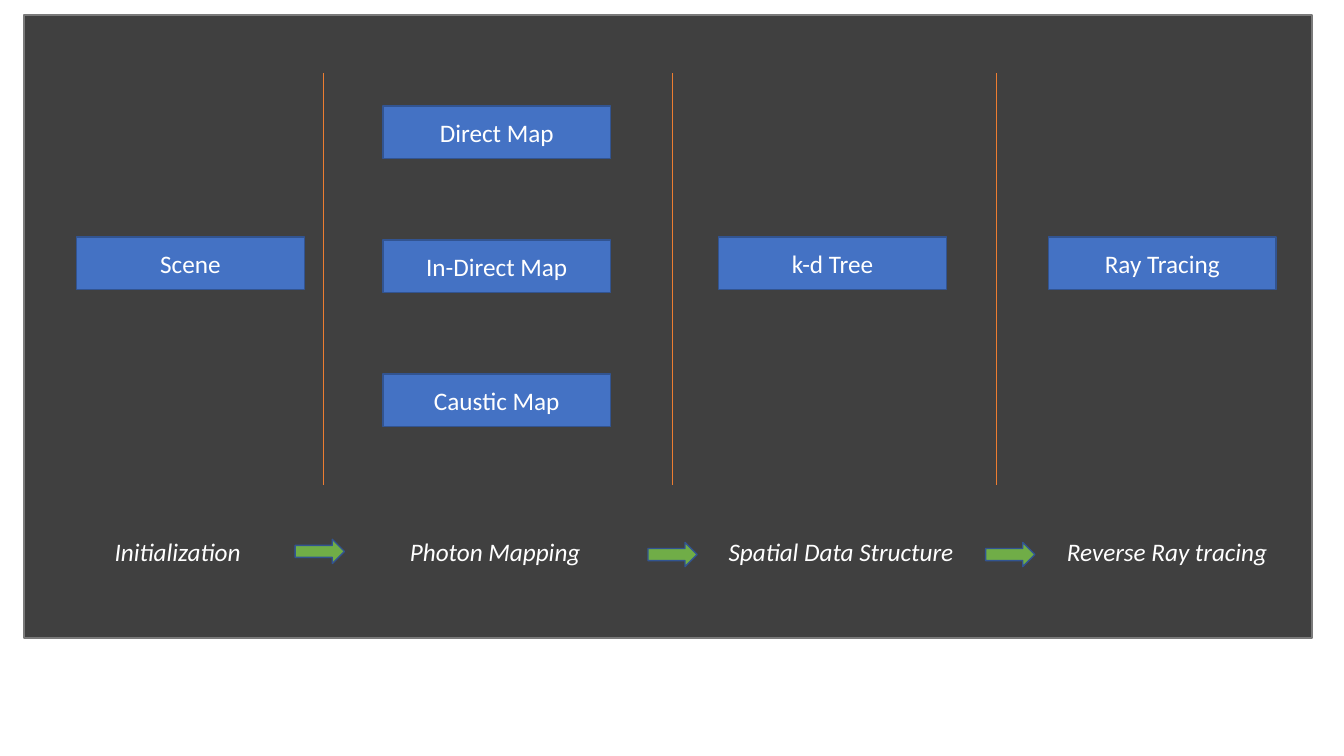
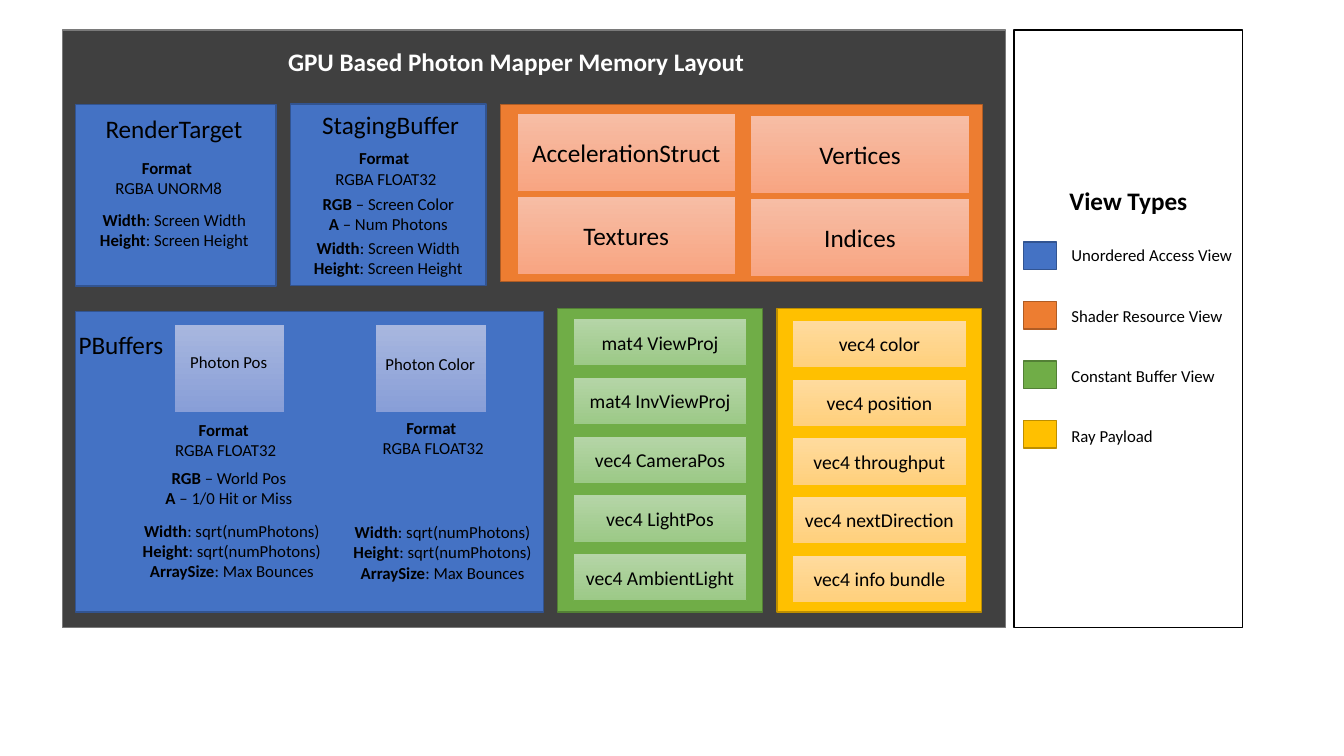
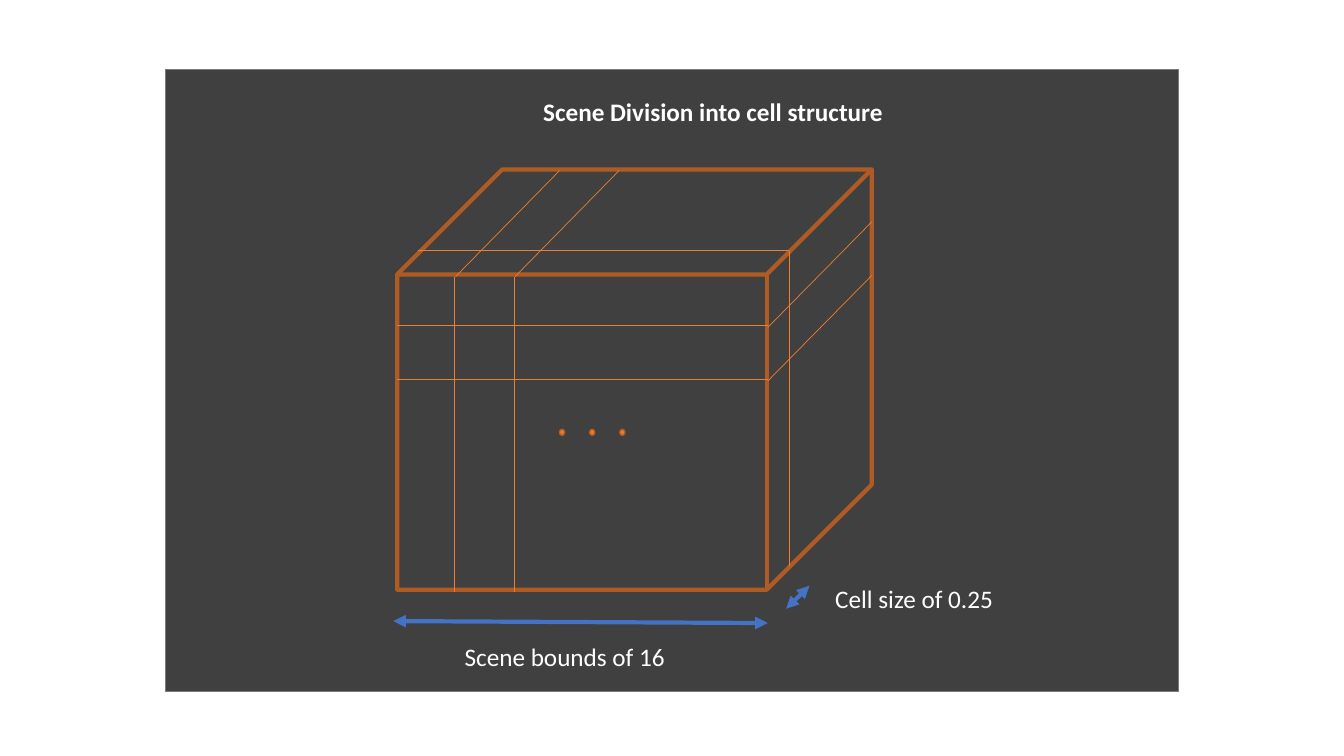
from dataclasses import dataclass

from lxml import etree
from pptx import Presentation
from pptx import util as u
from pptx.dml import color
from pptx.enum import shapes, text
from pptx.oxml import ns
from pptx.slide import Slide


@dataclass(frozen=True)
class Theme:
    font: str = "Calibri"
    white: str = "FFFFFF"
    black: str = "000000"
    panel: str = "404040"
    panel_edge: str = "7A7A7A"
    blue: str = "4472C4"
    blue_edge: str = "325491"
    orange: str = "ED7D31"
    orange_edge: str = "AF5C24"
    green: str = "70AD47"
    green_edge: str = "538035"
    yellow: str = "FFC000"
    yellow_edge: str = "BD8E00"
    blue_tint: tuple[str, str] = ("A8B7DF", "889ED7")
    orange_tint: tuple[str, str] = ("F7BDA5", "F8A582")
    green_tint: tuple[str, str] = ("B5D5A7", "9CC987")
    yellow_tint: tuple[str, str] = ("FFDB9E", "FFD07C")
    heading: int = 18
    member: int = 14
    detail: int = 12
    hairline: float = 0.5
    edge: float = 1
    heavy: float = 3


THEME = Theme()


@dataclass(frozen=True)
class Box:
    x: float
    y: float
    w: float
    h: float

    def lengths(self) -> tuple[u.Length, ...]:
        return u.Cm(self.x), u.Cm(self.y), u.Cm(self.w), u.Cm(self.h)


@dataclass(frozen=True)
class Run:
    words: str
    bold: bool = False
    italic: bool = False
    breaks: bool = False


@dataclass(frozen=True)
class Style:
    fill: str | tuple[str, str] | None
    line: str
    width: float = THEME.edge


Paragraphs = list[list[Run]]

PANEL = Style(THEME.panel, THEME.panel_edge)
BLUE = Style(THEME.blue, THEME.blue_edge)
ORANGE = Style(THEME.orange, THEME.orange_edge)
GREEN = Style(THEME.green, THEME.green_edge)
YELLOW = Style(THEME.yellow, THEME.yellow_edge)
BLUE_TILE = Style(THEME.blue_tint, THEME.blue, THEME.hairline)
ORANGE_TILE = Style(THEME.orange_tint, THEME.orange, THEME.hairline)
GREEN_TILE = Style(THEME.green_tint, THEME.green, THEME.hairline)
YELLOW_TILE = Style(THEME.yellow_tint, THEME.yellow, THEME.hairline)

RECT = shapes.MSO_SHAPE.RECTANGLE


def rgb(value: str) -> color.RGBColor:
    return color.RGBColor.from_string(value)


def write(frame, paragraphs: Paragraphs, size: int, ink: str, centred: bool) -> None:
    for index, runs in enumerate(paragraphs):
        paragraph = frame.paragraphs[0] if index == 0 else frame.add_paragraph()
        paragraph.alignment = text.PP_ALIGN.CENTER if centred else text.PP_ALIGN.LEFT
        for part in runs:
            run = paragraph.add_run()
            run.text = part.words
            run.font.name = THEME.font
            run.font.size = u.Pt(size)
            run.font.bold = part.bold
            run.font.italic = part.italic
            run.font.color.rgb = rgb(ink)
            if part.breaks:
                paragraph.add_line_break()


def block(slide: Slide, box: Box, style: Style, words: str = "", size: int = THEME.heading,
          ink: str = THEME.black, kind: shapes.MSO_SHAPE = RECT) -> None:
    shape = slide.shapes.add_shape(kind, *box.lengths())
    shape.shadow.inherit = False
    if style.fill is None:
        shape.fill.background()
    elif isinstance(style.fill, tuple):
        shape.fill.gradient()
        shape.fill.gradient_angle = 270
        for stop, tint in zip(shape.fill.gradient_stops, style.fill):
            stop.color.rgb = rgb(tint)
    else:
        shape.fill.solid()
        shape.fill.fore_color.rgb = rgb(style.fill)
    shape.line.color.rgb = rgb(style.line)
    shape.line.width = u.Pt(style.width)
    if words:
        shape.text_frame.vertical_anchor = text.MSO_ANCHOR.MIDDLE
        write(shape.text_frame, [[Run(words)]], size, ink, True)


def label(slide: Slide, box: Box, paragraphs: Paragraphs, size: int = THEME.heading,
          ink: str = THEME.black, centred: bool = False) -> None:
    frame = slide.shapes.add_textbox(*box.lengths()).text_frame
    frame.word_wrap = False
    frame.auto_size = text.MSO_AUTO_SIZE.SHAPE_TO_FIT_TEXT
    write(frame, paragraphs, size, ink, centred)


def detail(slide: Slide, x: float, y: float, w: float, paragraphs: Paragraphs) -> None:
    lines = max(len(paragraphs), 1 + paragraphs[0][0].breaks)
    label(slide, Box(x, y, w, 0.25 + 0.51 * lines), paragraphs, THEME.detail, centred=True)


def line(slide: Slide, x1: float, y1: float, x2: float, y2: float,
         ink: str = THEME.orange, width: float = THEME.hairline, arrows: bool = False) -> None:
    connector = slide.shapes.add_connector(
        shapes.MSO_CONNECTOR.STRAIGHT, u.Cm(x1), u.Cm(y1), u.Cm(x2), u.Cm(y2))
    connector.line.color.rgb = rgb(ink)
    connector.line.width = u.Pt(width)
    if arrows:
        outline = connector.line._get_or_add_ln()
        for end in ("a:headEnd", "a:tailEnd"):
            etree.SubElement(outline, ns.qn(end), type="triangle")
    etree.SubElement(connector._element.spPr, ns.qn("a:effectLst"))


def field(name: str, rest: str) -> list[Run]:
    return [Run(name, bold=True), Run(rest)]


def pixel_format(name: str) -> Paragraphs:
    return [[Run("Format", bold=True, breaks=True), Run(f" {name}")]]


def draw_pipeline(slide: Slide) -> None:
    block(slide, Box(0.61, 0.38, 32.46, 15.7), PANEL)
    photon_maps = ("Direct Map", "In-Direct Map", "Caustic Map")
    steps = [(9.65, 2.67 + 3.38 * row, name) for row, name in enumerate(photon_maps)]
    steps += [(18.11, 5.97, "k-d Tree"), (26.42, 5.97, "Ray Tracing"), (1.93, 5.97, "Scene")]
    for x, y, name in steps:
        block(slide, Box(x, y, 5.74, 1.32), BLUE, name, ink=THEME.white)
    for x in (8.16, 16.94, 25.12):
        line(slide, x, 1.85, x, 12.22)
    for x, w, stage in ((2.64, 3.71, "Initialization"), (10.08, 4.88, "Photon Mapping"),
                        (18.11, 6.2, "Spatial Data Structure"),
                        (26.64, 5.56, "Reverse Ray tracing")):
        label(slide, Box(x, 13.39, w, 1.02), [[Run(stage, italic=True)]], ink=THEME.white)
    for x, y in ((7.44, 13.59), (16.33, 13.67), (24.84, 13.67)):
        block(slide, Box(x, y, 1.24, 0.61), Style(THEME.green, THEME.blue_edge),
              kind=shapes.MSO_SHAPE.RIGHT_ARROW)


def draw_view_types(slide: Slide) -> None:
    block(slide, Box(25.55, 0.76, 5.77, 15.06), Style(THEME.white, THEME.black))
    label(slide, Box(26.7, 4.55, 3.51, 1.02), [[Run("View Types", bold=True)]])
    views = ((BLUE, 4.62, "Unordered Access View"), (ORANGE, 4.37, "Shader Resource View"),
             (GREEN, 4.17, "Constant Buffer View"), (YELLOW, 2.59, "Ray Payload"))
    for row, (style, w, name) in enumerate(views):
        block(slide, Box(25.79, 6.1 + 1.5 * row, 0.84, 0.69), style)
        label(slide, Box(26.75, 6.05 + 1.52 * row, w, 0.76), [[Run(name)]], THEME.detail)


def draw_members(slide: Slide, x: float, top: float, style: Style, tile: Style,
                 members: tuple[str, ...]) -> None:
    block(slide, Box(x, 7.77, 5.16, 7.65), style)
    for row, member in enumerate(members):
        block(slide, Box(x + 0.4, top + 1.48 * row, 4.37, 1.19), tile, member, THEME.member)


def draw_memory_layout(slide: Slide) -> None:
    block(slide, Box(1.57, 0.76, 23.77, 15.06), PANEL)
    label(slide, Box(7.01, 1.04, 12.04, 1.02),
          [[Run("GPU Based Photon Mapper Memory Layout", bold=True)]], ink=THEME.white)
    screen_size = [field("Width", ": Screen Width"), field("Height", ": Screen Height")]
    photon_size = [field("Width", ": sqrt(numPhotons)"), field("Height", ": sqrt(numPhotons)"),
                   field("ArraySize", ": Max Bounces")]

    for buffer, style in ((Box(1.91, 2.64, 5.05, 4.57), BLUE),
                          (Box(7.32, 2.62, 4.93, 4.57), BLUE),
                          (Box(1.91, 7.85, 11.79, 7.57), BLUE),
                          (Box(12.62, 2.64, 12.14, 4.45), ORANGE)):
        block(slide, buffer, style)
    for x, y, w, name in ((2.41, 2.72, 4.01, "RenderTarget"),
                          (7.87, 2.62, 4.01, "StagingBuffer"),
                          (1.73, 8.18, 2.67, "PBuffers")):
        label(slide, Box(x, y, w, 1.02), [[Run(name)]])
    for x in (4.39, 9.47):
        block(slide, Box(x, 8.18, 2.79, 2.21), BLUE_TILE)

    for x, y, w, paragraphs in (
        (2.54, 3.84, 3.33, pixel_format("RGBA UNORM8")),
        (2.26, 5.16, 4.27, screen_size),
        (8.08, 3.61, 3.2, pixel_format("RGBA FLOAT32")),
        (7.87, 4.75, 3.84, [field("RGB", " – Screen Color"), field("A", " – Num Photons")]),
        (7.65, 5.87, 4.27, screen_size),
        (4.52, 8.74, 2.49, [[Run("Photon Pos")]]),
        (9.45, 8.79, 2.79, [[Run("Photon Color")]]),
        (4.04, 10.44, 3.2, pixel_format("RGBA FLOAT32")),
        (9.27, 10.39, 3.2, pixel_format("RGBA FLOAT32")),
        (3.89, 11.66, 3.76, [field("RGB", " – World Pos"), field("A", " – 1/0 Hit or Miss")]),
        (3.33, 13.0, 5.03, photon_size),
        (8.64, 13.03, 5.03, photon_size),
    ):
        detail(slide, x, y, w, paragraphs)

    resources = (("AccelerationStruct", "Textures"), ("Vertices", "Indices"))
    for column, names in enumerate(resources):
        for row, name in enumerate(names):
            block(slide, Box(13.03 + 5.89 * column, 2.87 + 2.08 * row + 0.05 * column,
                             5.51, 1.96), ORANGE_TILE, name)
    draw_members(slide, 14.05, 8.03, GREEN, GREEN_TILE,
                 ("mat4 ViewProj", "mat4 InvViewProj", "vec4 CameraPos", "vec4 LightPos",
                  "vec4 AmbientLight"))
    draw_members(slide, 19.58, 8.07, YELLOW, YELLOW_TILE,
                 ("vec4 color", "vec4 position", "vec4 throughput", "vec4 nextDirection",
                  "vec4 info bundle"))
    draw_view_types(slide)


def draw_scene_division(slide: Slide) -> None:
    block(slide, Box(4.17, 1.75, 25.53, 15.67), PANEL)
    block(slide, Box(10.01, 4.27, 11.96, 10.59), Style(None, THEME.orange_edge, THEME.heavy),
          kind=shapes.MSO_SHAPE.CUBE)
    for cell in range(2):
        y = 8.2 + 1.35 * cell
        line(slide, 10.01, y, 19.35, y)
        line(slide, 19.35, y + 0.05, 21.97, y - 2.61)
        x = 11.46 + 1.5 * cell
        line(slide, x, 6.98, x, 14.91)
        line(slide, x + 0.02, 6.97, x + 2.64, 4.3)
    line(slide, 19.89, 6.32, 19.89, 14.25)
    line(slide, 10.54, 6.32, 19.89, 6.32)
    for dot in range(3):
        block(slide, Box(14.1 + 0.76 * dot, 10.82, 0.13, 0.15), ORANGE,
              kind=shapes.MSO_SHAPE.OVAL)
    for ends in ((9.91, 15.65, 19.35, 15.7), (19.81, 15.34, 20.4, 14.76)):
        line(slide, *ends, ink=THEME.blue, width=THEME.heavy, arrows=True)
    for x, y, w, caption in (
        (13.44, 2.31, 9.14, Run("Scene Division into cell structure", bold=True)),
        (11.46, 16.03, 5.61, Run("Scene bounds of 16")),
        (20.8, 14.58, 4.55, Run("Cell size of 0.25")),
    ):
        label(slide, Box(x, y, w, 1.02), [[caption]], ink=THEME.white)


def main() -> None:
    deck = Presentation()
    deck.slide_width = u.Cm(33.87)
    deck.slide_height = u.Cm(19.05)
    blank = deck.slide_layouts[6]
    for draw in (draw_pipeline, draw_memory_layout, draw_scene_division):
        draw(deck.slides.add_slide(blank))
    deck.save("out.pptx")


if __name__ == "__main__":
    main()
